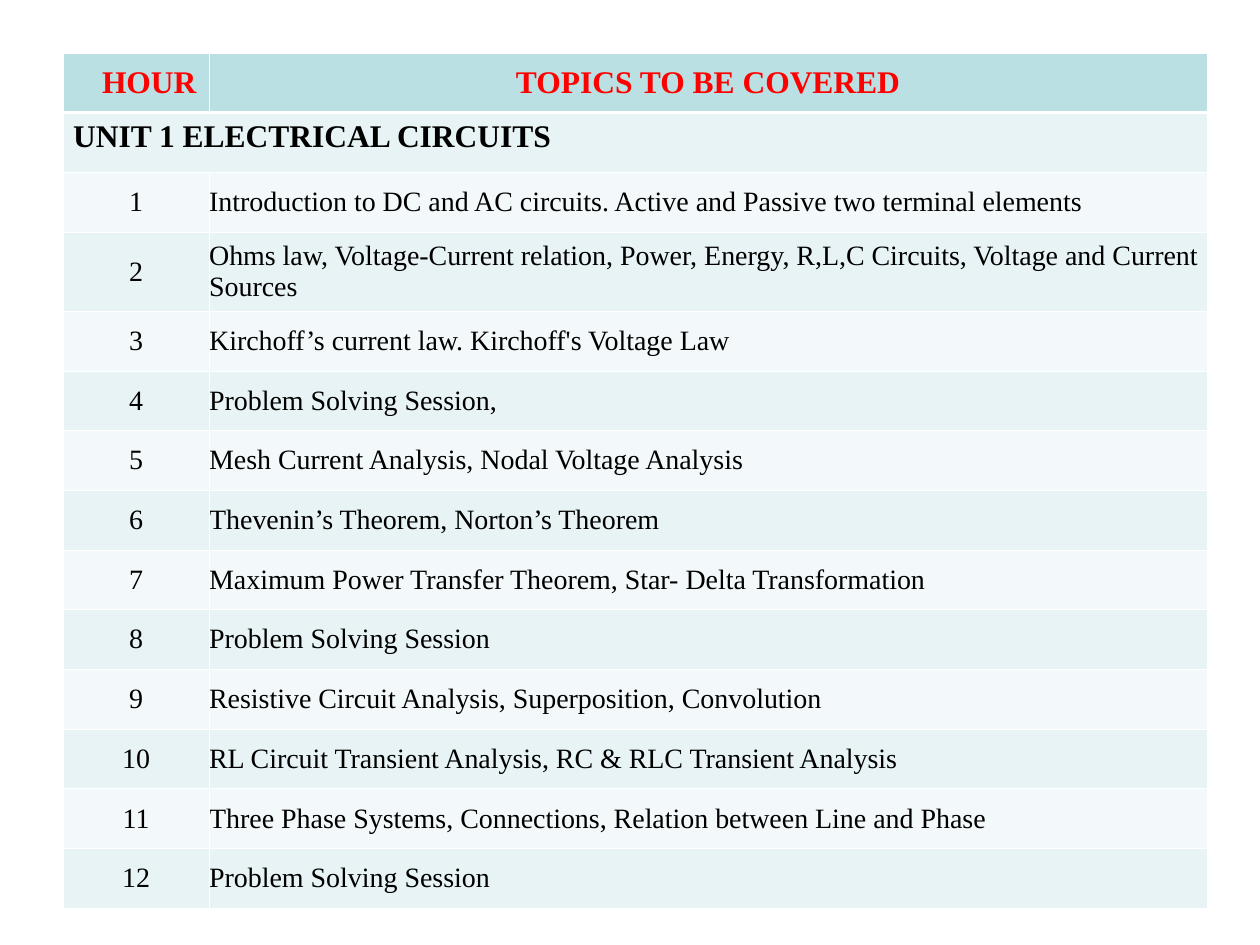
"""Build the course plan slide for Unit 1, Electrical Circuits."""
from lxml.etree import SubElement
from pptx import Presentation
from pptx.dml.color import RGBColor as RGB
from pptx.enum.text import MSO_ANCHOR as ANCHOR, PP_ALIGN as ALIGN
from pptx.oxml.ns import qn
from pptx.util import Inches, Pt

THEME = {
    "font": "Times New Roman",
    "head_size": Pt(18), "body_size": Pt(16),
    "head_fill": "BBE0E3", "odd_fill": "E7F3F4", "even_fill": "F3F9FA",
    "head_text": "FF0000", "text": "000000", "border": "FFFFFF",
    "thin": Pt(0.45), "thick": Pt(1.47),
}
TOPICS = [
    "Introduction to DC and AC circuits. Active and Passive two terminal elements",
    "Ohms law, Voltage-Current relation, Power, Energy, R,L,C Circuits, Voltage and Current Sources",
    "Kirchoff’s current law. Kirchoff's Voltage Law",
    "Problem Solving Session,",
    "Mesh Current Analysis, Nodal Voltage Analysis",
    "Thevenin’s Theorem, Norton’s Theorem",
    "Maximum Power Transfer Theorem, Star- Delta Transformation",
    "Problem Solving Session",
    "Resistive Circuit Analysis, Superposition, Convolution",
    "RL Circuit Transient Analysis, RC & RLC Transient Analysis",
    "Three Phase Systems, Connections, Relation between Line and Phase",
    "Problem Solving Session",
]
rows = [("HOUR", "TOPICS TO BE COVERED"), ("UNIT 1 ELECTRICAL CIRCUITS", "")]
rows += [(str(hour), topic) for hour, topic in enumerate(TOPICS, 1)]
HEADER, UNIT, TALL = 0, 1, 3


def add_border(cell, side, width):
    ln = SubElement(cell._tc.get_or_add_tcPr(), qn(f"a:ln{side}"), w=str(int(width)))
    fill = SubElement(ln, qn("a:solidFill"))
    SubElement(fill, qn("a:srgbClr"), val=THEME["border"])


prs = Presentation()
prs.slide_width, prs.slide_height = Inches(10), Inches(7.5)
s = prs.slides.add_slide(prs.slide_layouts[6])

table = s.shapes.add_table(len(rows), 2, Inches(0.5), Inches(0.42), Inches(9.08), Inches(6.79)).table
for col, width in zip(table.columns, (1.16, 7.92)):
    col.width = Inches(width)
for i, row in enumerate(table.rows):
    row.height = Inches(0.63 if i == TALL else (6.79 - 0.63) / (len(rows) - 1))
table.cell(UNIT, 0).merge(table.cell(UNIT, 1))

for i, texts in enumerate(rows):
    heading = i in (HEADER, UNIT)
    fill = THEME["head_fill" if i == HEADER else "odd_fill" if i % 2 else "even_fill"]
    color = THEME["head_text" if i == HEADER else "text"]
    for j, text in enumerate(texts):
        cell = table.cell(i, j)
        for side in "LRTB":
            thick = (i, side) in ((HEADER, "B"), (UNIT, "T"))
            add_border(cell, side, THEME["thick" if thick else "thin"])
        cell.fill.solid()
        cell.fill.fore_color.rgb = RGB.from_string(fill)
        if cell.is_spanned:
            continue
        left = 0.08 if i == UNIT else 0.31 if (i, j) == (HEADER, 0) else 0
        cell_format = {
            "margin_left": Inches(left),
            "margin_right": Inches(0.08 if i == UNIT else 0),
            "margin_top": Inches(0.05), "margin_bottom": Inches(0.05),
            "vertical_anchor": ANCHOR.TOP if i == UNIT else ANCHOR.MIDDLE,
        }
        for name, value in cell_format.items():
            setattr(cell, name, value)
        p = cell.text_frame.paragraphs[0]
        centred = (i, j) == (HEADER, 1) or (not heading and j == 0)
        p.alignment = ALIGN.CENTER if centred else ALIGN.LEFT
        r = p.add_run()
        r.text = text
        font_format = {
            "name": THEME["font"],
            "size": THEME["head_size" if heading else "body_size"],
            "bold": heading,
        }
        for name, value in font_format.items():
            setattr(r.font, name, value)
        r.font.color.rgb = RGB.from_string(color)

prs.save("out.pptx")
